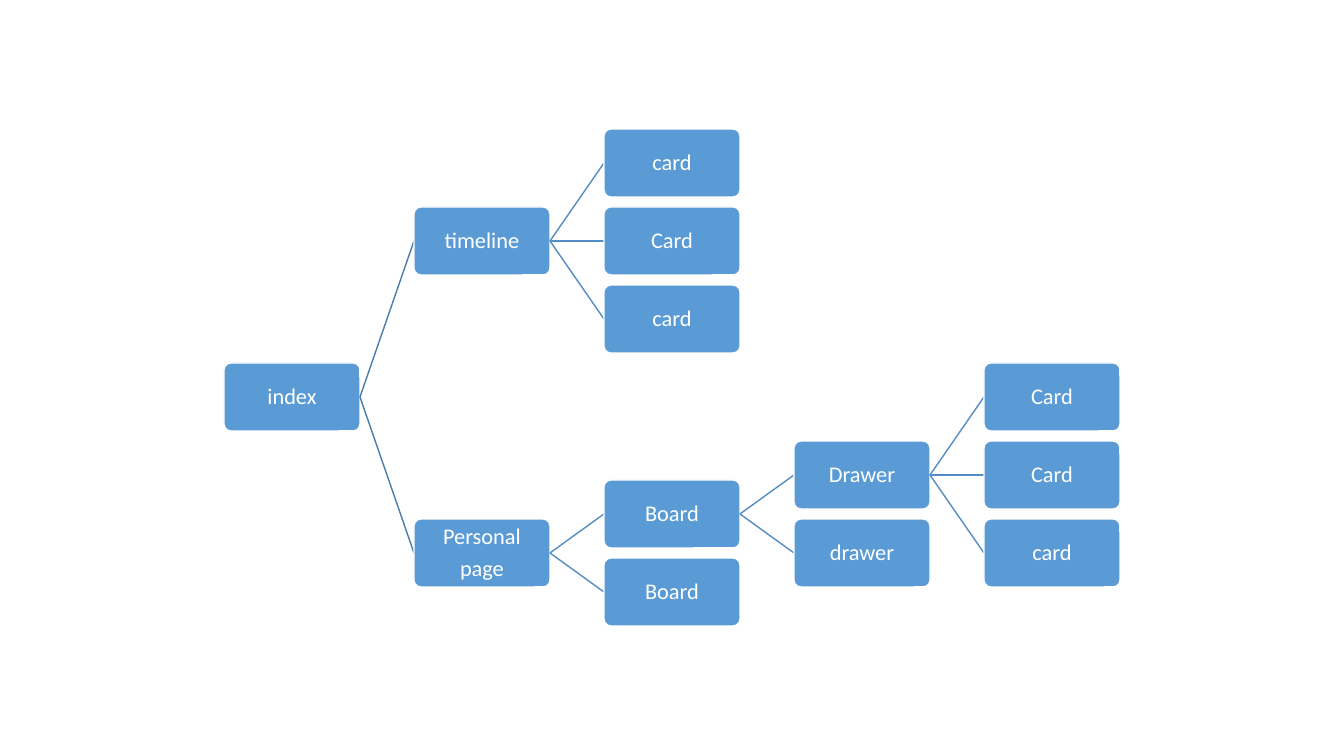
from dataclasses import dataclass

import pptx
import pptx.dml.color
import pptx.enum.shapes
import pptx.enum.text
import pptx.oxml
import pptx.oxml.ns
import pptx.slide
import pptx.util

EMU_PER_PX = 914400 / 100.8
SLIDE_WIDTH, SLIDE_HEIGHT = 1344, 756
BOX_WIDTH, BOX_HEIGHT = 136, 68
LEVEL_PITCH = 190
ROW_PITCH = 78
ROOT_LEFT, ROOT_CENTER = 224, 397
TEXT_INSET = 3
BOX_COLOR = "5B9BD5"
WHITE = "FFFFFF"
FIRST_LINK_COLOR, LINK_COLOR = "497CAB", "538DC1"


@dataclass(frozen=True)
class Node:
    label: str
    children: tuple["Node", ...] = ()
    child_pitch: int = ROW_PITCH


TIMELINE = Node("timeline", (Node("card"), Node("Card"), Node("card")))
DRAWER = Node("Drawer", (Node("Card"), Node("Card"), Node("card")))
BOARD = Node("Board", (DRAWER, Node("drawer")))
PERSONAL_PAGE = Node("Personal\npage", (BOARD, Node("Board")))
SITE_MAP = Node("index", (TIMELINE, PERSONAL_PAGE), child_pitch=4 * ROW_PITCH)


def px(length: int) -> pptx.util.Emu:
    return pptx.util.Emu(round(length * EMU_PER_PX))


def color(value: str) -> pptx.dml.color.RGBColor:
    return pptx.dml.color.RGBColor.from_string(value)


def draw_box(slide: pptx.slide.Slide, label: str, left: int, center: int) -> None:
    shape = slide.shapes.add_shape(
        pptx.enum.shapes.MSO_SHAPE.ROUNDED_RECTANGLE,
        px(left), px(center - BOX_HEIGHT // 2), px(BOX_WIDTH), px(BOX_HEIGHT),
    )
    shape.shadow.inherit = False
    shape.adjustments[0] = 0.1
    shape.fill.solid()
    shape.fill.fore_color.rgb = color(BOX_COLOR)
    shape.line.color.rgb = color(WHITE)
    shape.line.width = pptx.util.Pt(1)

    frame = shape.text_frame
    frame.word_wrap = True
    frame.vertical_anchor = pptx.enum.text.MSO_ANCHOR.MIDDLE
    frame.margin_left = frame.margin_right = px(TEXT_INSET)
    frame.margin_top = frame.margin_bottom = px(TEXT_INSET)
    frame.text = label
    for paragraph in frame.paragraphs:
        paragraph.alignment = pptx.enum.text.PP_ALIGN.CENTER
        paragraph.line_spacing = 0.9
        paragraph.space_after = pptx.util.Pt(5.6)
        paragraph.font.name = "Calibri"
        paragraph.font.size = pptx.util.Pt(16)
        paragraph.font.color.rgb = color(WHITE)


def draw_link(
    slide: pptx.slide.Slide, left: int, start: int, right: int, end: int, line_color: str
) -> None:
    connector = slide.shapes.add_connector(
        pptx.enum.shapes.MSO_CONNECTOR.STRAIGHT, px(left), px(start), px(right), px(end)
    )
    connector.line.color.rgb = color(line_color)
    connector.line.width = pptx.util.Pt(1)
    properties = connector._element.find(pptx.oxml.ns.qn("p:spPr"))
    properties.append(
        pptx.oxml.parse_xml(f"<a:effectLst {pptx.oxml.ns.nsdecls('a')}/>")
    )


def draw_tree(slide: pptx.slide.Slide, node: Node, level: int, center: int) -> None:
    left = ROOT_LEFT + level * LEVEL_PITCH
    draw_box(slide, node.label, left, center)
    first_center = center - (len(node.children) - 1) * node.child_pitch // 2
    line_color = LINK_COLOR if level else FIRST_LINK_COLOR
    for index, child in enumerate(node.children):
        child_center = first_center + index * node.child_pitch
        draw_link(
            slide, left + BOX_WIDTH, center, left + LEVEL_PITCH, child_center, line_color
        )
        draw_tree(slide, child, level + 1, child_center)


def main() -> None:
    presentation = pptx.Presentation()
    presentation.slide_width = px(SLIDE_WIDTH)
    presentation.slide_height = px(SLIDE_HEIGHT)
    slide = presentation.slides.add_slide(presentation.slide_layouts[6])
    draw_tree(slide, SITE_MAP, 0, ROOT_CENTER)
    presentation.save("out.pptx")


if __name__ == "__main__":
    main()
